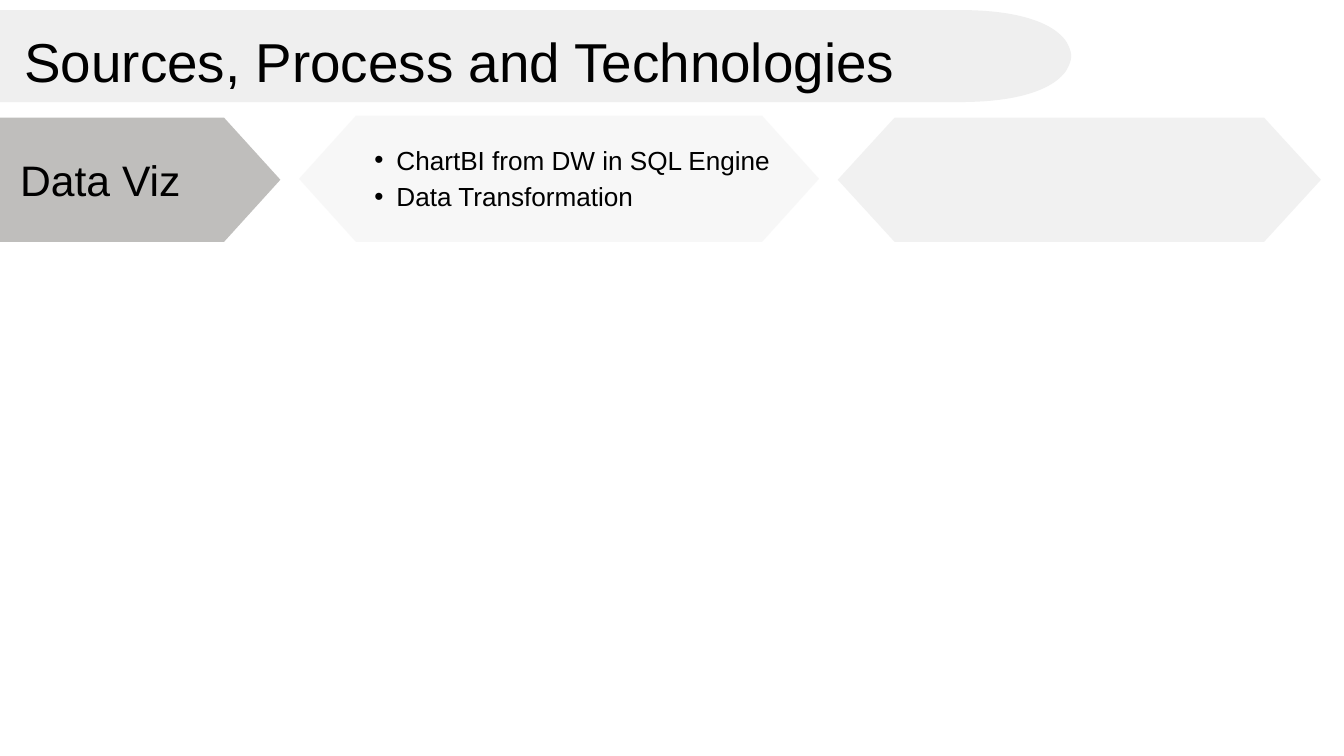
from lxml import etree
from pptx import Presentation
from pptx import util as u
from pptx.dml import color
from pptx.enum import text
from pptx.oxml import ns

Pt = u.Pt


def draw(slide, dots, fill, alpha=None):
    """Fill a closed outline through dots in points; alpha is opacity in percent."""
    dots = [(Pt(x), Pt(y)) for x, y in dots]
    pen = slide.shapes.build_freeform(*dots[0], scale=1.0)
    pen.add_line_segments(dots[1:], close=True)
    shape = pen.convert_to_shape()
    shape.shadow.inherit = False
    shape.line.fill.background()
    shape.fill.solid()
    shape.fill.fore_color.rgb = color.RGBColor.from_string(fill)
    if alpha:
        tint = shape._element.spPr.find(".//" + ns.qn("a:srgbClr"))
        etree.SubElement(tint, ns.qn("a:alpha")).set("val", str(alpha * 1000))


def write(slide, box, lines, size, lead, align=text.PP_ALIGN.LEFT, bullet=False):
    frame = slide.shapes.add_textbox(*map(Pt, box)).text_frame
    frame.word_wrap = True
    frame.margin_left = frame.margin_right = 0
    frame.margin_top = frame.margin_bottom = 0
    for i, line in enumerate(lines):
        para = frame.paragraphs[0] if i == 0 else frame.add_paragraph()
        para.alignment = align
        para.line_spacing = Pt(lead)
        if bullet:
            para.level = 1
            props = para._p.get_or_add_pPr()
            props.set("marL", str(Pt(47.5)))
            props.set("indent", str(Pt(-23.75)))
            etree.SubElement(props, ns.qn("a:buFont")).set("typeface", "Arial")
            etree.SubElement(props, ns.qn("a:buChar")).set("char", "•")
        run = para.add_run()
        run.text = line
        run.font.name = "Arial"
        run.font.size = Pt(size)
        run.font.color.rgb = color.RGBColor.from_string("000000")


deck = Presentation()
deck.slide_width, deck.slide_height = Pt(1440), Pt(810)
slide = deck.slides.add_slide(deck.slide_layouts[6])

# Process band: one arrow and two hexagons
low, slant = 259.2, 61
top, mid = 126, 192.6
draw(slide, [(-19.5, top), (240, top), (300.4, mid), (240, low), (-19.5, low)], "BFBEBC")
for left, right, top, fill in [(320.4, 877.5, 124, "F2F1F1"), (897.6, 1415.3, 126, "E6E6E6")]:
    mid = (top + low) / 2
    draw(slide, [(left, mid), (left + slant, top), (right - slant, top),
                 (right, mid), (right - slant, low), (left + slant, low)], fill, 55)

# Title banner: the upper curve is sampled, then mirrored downwards
axis, steps = 60.1, 20
curves = [[(1028.5, 10.8), (1091.5, 10.8), (1128.2, 24.5), (1142, 43.9)],
          [(1142, 43.9), (1145, 49), (1147.7, 54.5), (1147.7, axis)]]
upper = []
for curve in curves:
    for i in range(steps):
        t = i / steps
        parts = ((1 - t) ** 3, 3 * t * (1 - t) ** 2, 3 * t ** 2 * (1 - t), t ** 3)
        upper.append(tuple(sum(k * p[n] for k, p in zip(parts, curve)) for n in (0, 1)))
upper = [(-13, 10.8)] + upper + [(1147.7, axis)]
lower = [(x, 2 * axis - y) for x, y in reversed(upper[:-1])]
draw(slide, upper + lower, "EFEFEF")

write(slide, (21.6, 155.5, 338.4, 62.6), ["Data Viz"], 45.7, 64)
write(slide, (377.3, 149, 476.6, 77), ["ChartBI from DW in SQL Engine", "Data Transformation"],
      28, 39.2, bullet=True)
write(slide, (21.6, 18, 941, 80), ["Sources, Process and Technologies"], 58.7, 82.2,
      text.PP_ALIGN.CENTER)

deck.save("out.pptx")
